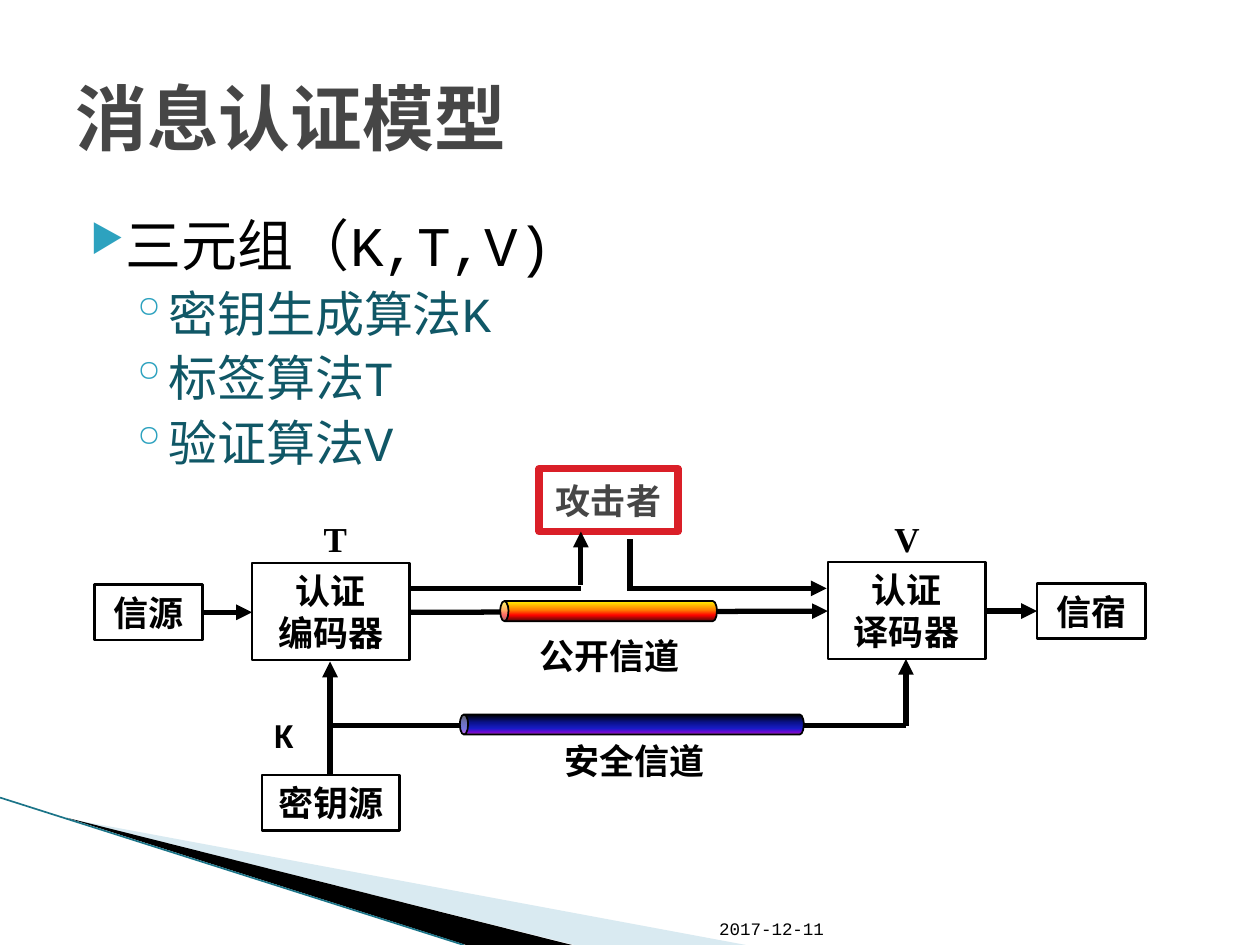
from typing import NamedTuple

from lxml.etree import SubElement
from pptx import Presentation
from pptx.dml.color import RGBColor
from pptx.enum.shapes import MSO_CONNECTOR, MSO_SHAPE
from pptx.enum.text import MSO_ANCHOR, PP_ALIGN
from pptx.oxml.ns import qn
from pptx.util import Inches, Pt

MONO, SERIF, SANS = "Courier New", "Times New Roman", "Calibri"
BLACK, WHITE, GREY, TEAL = "000000", "FFFFFF", "464646", "2DA2BF"


class Box(NamedTuple):
    text: str
    left: float
    top: float
    width: float
    height: float
    font: str = MONO
    color: str = BLACK
    border: str = BLACK
    border_width: float = 1.5


class Label(NamedTuple):
    text: str
    left: float
    top: float
    width: float
    height: float = 0.44
    font: str = SANS
    size: float = 20
    color: str = BLACK
    bold: bool = True
    anchor: MSO_ANCHOR = MSO_ANCHOR.TOP
    wrap: bool = False


class Line(NamedTuple):
    x1: float
    y1: float
    x2: float
    y2: float
    arrow: bool = True
    color: str = BLACK
    width: float = 3


class Pipe(NamedTuple):
    left: float
    top: float
    length: float
    stops: list[tuple[int, str]]


class Wedge(NamedTuple):
    points: list[tuple[float, float]]
    color: str
    alpha: int


class Bullet(NamedTuple):
    text: str
    symbol: str
    size: float
    color: str
    margin: float
    indent: float
    space_before: float
    symbol_percent: int = 100


def rgb(color: str) -> RGBColor:
    return RGBColor.from_string(color)


def style_text(text_frame, font: str, size: float, color: str, bold: bool, align=None) -> None:
    for paragraph in text_frame.paragraphs:
        paragraph.alignment = align
        for run in paragraph.runs:
            run.font.name, run.font.size, run.font.bold = font, Pt(size), bold
            run.font.color.rgb = rgb(color)


def draw_label(slide, label: Label) -> None:
    shape = slide.shapes.add_textbox(*map(Inches, label[1:5]))
    text_frame = shape.text_frame
    text_frame.word_wrap, text_frame.vertical_anchor = label.wrap, label.anchor
    text_frame.text = label.text
    style_text(text_frame, label.font, label.size, label.color, label.bold)


def draw_box(slide, box: Box) -> None:
    shape = slide.shapes.add_shape(MSO_SHAPE.RECTANGLE, *map(Inches, box[1:5]))
    shape.shadow.inherit = False
    shape.fill.solid()
    shape.fill.fore_color.rgb = rgb(WHITE)
    shape.line.color.rgb, shape.line.width = rgb(box.border), Pt(box.border_width)
    text_frame = shape.text_frame
    text_frame.word_wrap, text_frame.vertical_anchor = False, MSO_ANCHOR.MIDDLE
    text_frame.text = box.text
    style_text(text_frame, box.font, 20, box.color, True, PP_ALIGN.CENTER)


def draw_line(slide, line: Line) -> None:
    connector = slide.shapes.add_connector(MSO_CONNECTOR.STRAIGHT, *map(Inches, line[:4]))
    connector.line.color.rgb, connector.line.width = rgb(line.color), Pt(line.width)
    if line.arrow:
        SubElement(connector.line._get_or_add_ln(), qn("a:tailEnd"), type="triangle")
    SubElement(connector._element.spPr, qn("a:effectLst"))


def draw_pipe(slide, pipe: Pipe) -> None:
    """Draw an upright can turned onto its side."""
    thickness = 0.16
    left = pipe.left + (pipe.length - thickness) / 2
    top = pipe.top - (pipe.length - thickness) / 2
    shape = slide.shapes.add_shape(MSO_SHAPE.CAN, *map(Inches, (left, top, thickness, pipe.length)))
    shape.rotation, shape.adjustments[0] = 270, 0.41
    shape.shadow.inherit = False
    shape.line.color.rgb, shape.line.width = rgb(BLACK), Pt(1)
    shape.fill.gradient()
    shape.fill.gradient_angle = 180
    stop_list = shape._element.spPr.find(qn("a:gradFill")).find(qn("a:gsLst"))
    for stop in list(stop_list):
        stop_list.remove(stop)
    for percent, color in pipe.stops:
        stop = SubElement(stop_list, qn("a:gs"), pos=str(percent * 1000))
        SubElement(stop, qn("a:srgbClr"), val=color)


def draw_wedge(slide, wedge: Wedge) -> None:
    points = [(Inches(x), Inches(y)) for x, y in wedge.points]
    builder = slide.shapes.build_freeform(*points[0])
    builder.add_line_segments(points[1:], close=True)
    shape = builder.convert_to_shape()
    shape.shadow.inherit = False
    shape.line.fill.background()
    shape.fill.solid()
    shape.fill.fore_color.rgb = rgb(wedge.color)
    color = shape._element.spPr.find(qn("a:solidFill"))[0]
    SubElement(color, qn("a:alpha"), val=str(wedge.alpha * 1000))


def draw_bullets(slide, bullets: list[Bullet]) -> None:
    text_frame = slide.shapes.add_textbox(*map(Inches, (0.5, 1.62, 9, 4.95))).text_frame
    text_frame.word_wrap = True
    text_frame.text = "\n".join(bullet.text for bullet in bullets)
    for paragraph, bullet in zip(text_frame.paragraphs, bullets):
        properties = paragraph._p.get_or_add_pPr()
        properties.set("marL", str(Inches(bullet.margin)))
        properties.set("indent", str(Inches(bullet.indent)))
        SubElement(SubElement(properties, qn("a:buClr")), qn("a:srgbClr"), val=TEAL)
        SubElement(properties, qn("a:buSzPct"), val=str(bullet.symbol_percent * 1000))
        SubElement(properties, qn("a:buChar"), char=bullet.symbol)
        paragraph.space_before = Pt(bullet.space_before)
        font = paragraph.runs[0].font
        font.name, font.size, font.color.rgb = MONO, Pt(bullet.size), rgb(bullet.color)


def main() -> None:
    presentation = Presentation()
    presentation.slide_width, presentation.slide_height = Inches(10), Inches(7.5)
    slide = presentation.slides.add_slide(presentation.slide_layouts[6])

    # Corner decoration
    draw_wedge(slide, Wedge([(0.55, 6.5), (5.92, 7.5), (4.56, 7.5)], "A0CBDC", 40))
    draw_wedge(slide, Wedge([(0.53, 6.49), (4.54, 7.5), (3.7, 7.5)], BLACK, 100))
    draw_line(slide, Line(0, 6.33, 3.68, 7.5, False, "1B7488", 0.95))

    # Title, bullets and date
    draw_bullets(slide, [Bullet("三元组（K,T,V)", "▶", 32, BLACK, 0.4, -0.28, 0, 68)] + [
        Bullet(text, "◦", 28, "105766", 0.68, -0.25, 3.2)
        for text in ("密钥生成算法K", "标签算法T", "验证算法V")])
    draw_label(slide, Label("消息认证模型", 0.5, 0.3, 9, 1.25, MONO, 41, GREY, True, MSO_ANCHOR.MIDDLE, True))
    draw_label(slide, Label("2017-12-11", 5.61, 7.01, 1.12, 0.49, MONO, 10, BLACK, False, MSO_ANCHOR.BOTTOM, True))

    # Parties of the model
    for box in (Box("信源", 0.75, 4.64, 0.86, 0.44), Box("密钥源", 2.08, 6.15, 1.09, 0.44),
                Box("认证\n编码器", 2, 4.47, 1.25, 0.77), Box("认证\n译码器", 6.57, 4.46, 1.25, 0.77),
                Box("信宿", 8.23, 4.63, 0.86, 0.44),
                Box("攻击者", 4.28, 3.72, 1.1, 0.5, SERIF, GREY, "DA1F28", 4.33)):
        draw_box(slide, box)

    # Message, key and attacker flows
    for line in (Line(1.61, 4.86, 2, 4.86), Line(3.25, 4.86, 6.57, 4.85), Line(7.82, 4.85, 8.23, 4.85),
                 Line(2.62, 6.15, 2.62, 5.25), Line(2.62, 5.76, 7.19, 5.76, False), Line(7.19, 5.76, 7.19, 5.23),
                 Line(3.25, 4.67, 4.61, 4.67, False), Line(4.61, 4.64, 4.61, 4.22),
                 Line(5, 4.69, 5, 4.28, False), Line(5, 4.67, 6.56, 4.67)):
        draw_line(slide, line)

    # Channels
    draw_pipe(slide, Pipe(3.65, 5.67, 2.73, [(0, BLACK), (40, "0A128C"), (70, "181CC7"), (88, "7005D4"), (100, "8C3D91")]))
    draw_pipe(slide, Pipe(3.97, 4.77, 1.72, [(0, "FFF200"), (45, "FF7A00"), (70, "FF0300"), (100, "4D0808")]))

    # Labels
    for label in (Label("K", 2.08, 5.61, 0.36), Label("公开信道", 4.18, 4.99, 1.32),
                  Label("安全信道", 4.38, 5.82, 1.33), Label("T", 2.47, 4.06, 0.39, font=SERIF),
                  Label("V", 7, 4.06, 0.43, font=SERIF)):
        draw_label(slide, label)

    presentation.save("out.pptx")


if __name__ == "__main__":
    main()
